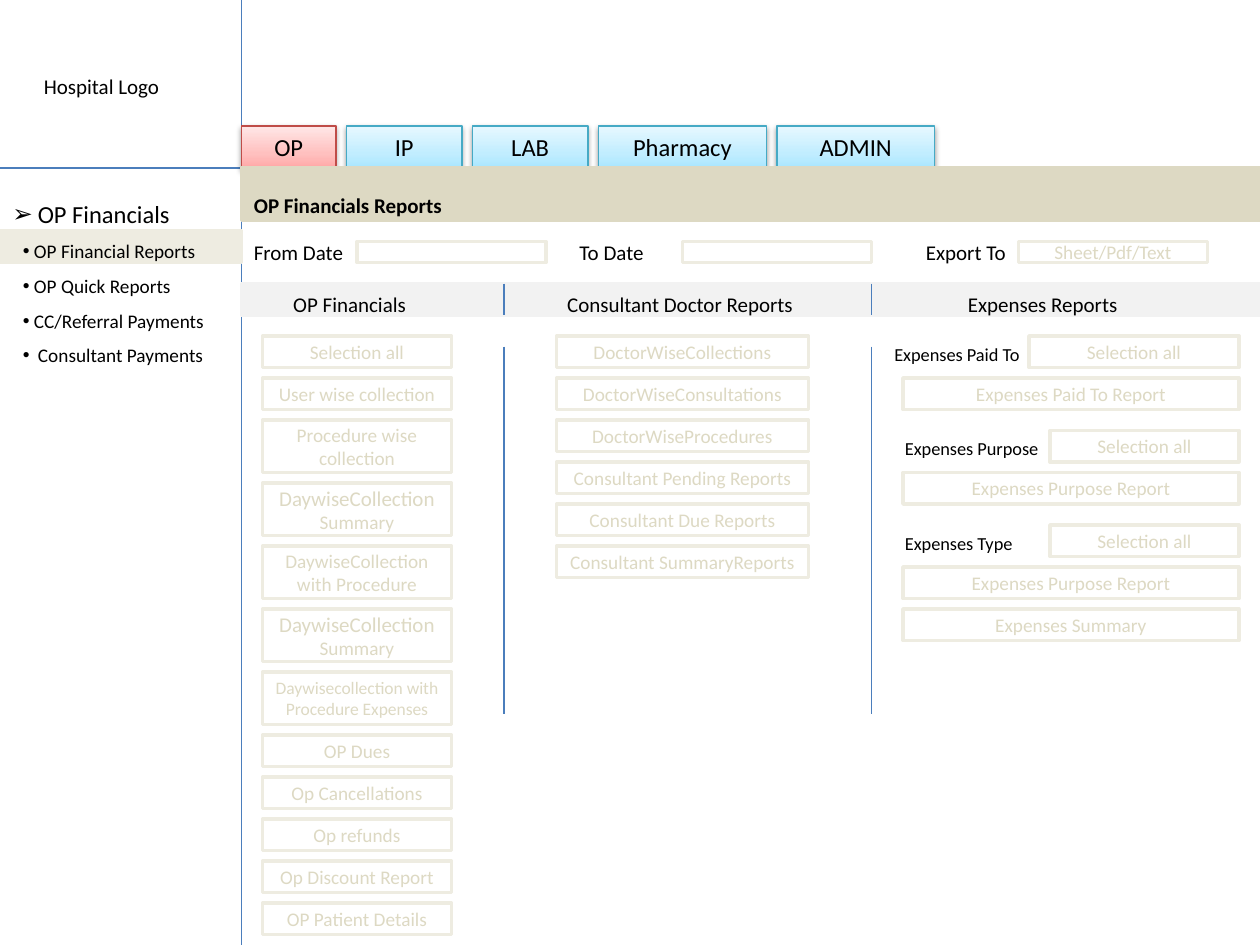
from dataclasses import dataclass
from typing import Any

from lxml.etree import SubElement
from pptx import Presentation
from pptx.dml.color import RGBColor
from pptx.enum.shapes import MSO_CONNECTOR as Connector, MSO_SHAPE as Preset
from pptx.enum.text import MSO_ANCHOR as Anchor, MSO_AUTO_SIZE as AutoSize, PP_ALIGN as Align
from pptx.oxml.ns import qn
from pptx.util import Pt


@dataclass(frozen=True)
class Theme:
    font: str = "Calibri"
    text: str = "000000"
    rule: str = "4B7EBC"
    white: str = "FFFFFF"
    header: str = "DDD9C3"
    soft: str = "EEECE1"
    subheader: str = "F2F2F2"
    active_line: str = "BF4C48"
    active_stops: tuple = ((0, "FFA6A5"), (35, "FFC0BF"), (100, "FFE7E7"))
    tab_line: str = "46AAC5"
    tab_stops: tuple = ((0, "A7E6FF"), (35, "C1EDFF"), (100, "E7F8FF"))
    thin: float = 0.75
    thick: float = 2
    tab_size: float = 14
    label_size: float = 12
    item_size: float = 11
    field_size: float = 10.5
    small_size: float = 10


THEME = Theme()


@dataclass(frozen=True)
class Box:
    left: float
    top: float
    width: float
    height: float

    def lengths(self) -> tuple:
        return tuple(Pt(value) for value in (self.left, self.top, self.width, self.height))


@dataclass(frozen=True)
class Label:
    text: str
    box: Box
    size: float = THEME.label_size
    bold: bool = False
    spacing: float = 1.5


@dataclass(frozen=True)
class Button:
    """Runs are (text, size) pairs."""
    runs: tuple
    height: float = 18


@dataclass(frozen=True)
class MenuItem:
    text: str
    indent: float
    bullet: str = "•"


def set_formats(target: Any, formats: dict) -> None:
    for name, value in formats.items():
        setattr(target, name, value)


def set_font(font: Any, size: float, color: str, bold: bool = False) -> None:
    set_formats(font, {"name": THEME.font, "size": Pt(size), "bold": bold})
    font.color.rgb = RGBColor.from_string(color)


def add_rule(slide: Any, x1: float, y1: float, x2: float, y2: float) -> None:
    rule = slide.shapes.add_connector(Connector.STRAIGHT, Pt(x1), Pt(y1), Pt(x2), Pt(y2))
    rule.line.width = Pt(THEME.thin)
    rule.line.color.rgb = RGBColor.from_string(THEME.rule)
    SubElement(rule._element.spPr, qn("a:effectLst"))


def add_rectangle(slide: Any, box: Box, fill: str, line: str, weight: float = THEME.thick) -> Any:
    shape = slide.shapes.add_shape(Preset.RECTANGLE, *box.lengths())
    shape.shadow.inherit = False
    shape.fill.solid()
    shape.fill.fore_color.rgb = RGBColor.from_string(fill)
    shape.line.color.rgb = RGBColor.from_string(line)
    shape.line.width = Pt(weight)
    return shape


def write_centred(shape: Any, runs: tuple, color: str, anchor: Any = Anchor.MIDDLE) -> None:
    set_formats(shape.text_frame, {"word_wrap": True, "vertical_anchor": anchor})
    paragraph = shape.text_frame.paragraphs[0]
    paragraph.alignment = Align.CENTER
    for text, size in runs:
        run = paragraph.add_run()
        run.text = text
        set_font(run.font, size, color)


def add_button(slide: Any, box: Box, runs: tuple = ()) -> None:
    shape = add_rectangle(slide, box, THEME.white, THEME.soft)
    write_centred(shape, runs, THEME.header)


def add_button_column(slide: Any, left: float, width: float, buttons: list) -> None:
    top = 192
    for button in buttons:
        add_button(slide, Box(left, top, width, button.height), button.runs)
        top += button.height + 6


def add_tab(slide: Any, box: Box, text: str, line: str, stops: tuple) -> None:
    """Tab with a three-stop gradient and a soft shadow below."""
    shape = add_rectangle(slide, box, THEME.white, line, THEME.thin)
    shape.fill.gradient()
    shape.fill.gradient_angle = 90
    properties = shape._element.spPr
    stop_list = properties.find(".//" + qn("a:gsLst"))
    for old_stop in list(stop_list):
        stop_list.remove(old_stop)
    for position, color in stops:
        stop = SubElement(stop_list, qn("a:gs"), pos=str(position * 1000))
        SubElement(stop, qn("a:srgbClr"), val=color)
    shadow = SubElement(properties.find(qn("a:effectLst")), qn("a:outerShdw"), blurRad=str(Pt(3.1)),
                        dist=str(Pt(1.6)), dir="5400000", rotWithShape="0")
    shadow_color = SubElement(shadow, qn("a:srgbClr"), val=THEME.text)
    SubElement(shadow_color, qn("a:alpha"), val="38000")
    write_centred(shape, ((text, THEME.tab_size),), THEME.text, Anchor.TOP)


def add_text_frame(slide: Any, box: Box) -> Any:
    frame = slide.shapes.add_textbox(*box.lengths()).text_frame
    set_formats(frame, {"word_wrap": False, "auto_size": AutoSize.SHAPE_TO_FIT_TEXT})
    return frame


def add_label(slide: Any, label: Label) -> None:
    paragraph = add_text_frame(slide, label.box).paragraphs[0]
    set_formats(paragraph, {"text": label.text, "line_spacing": label.spacing})
    set_font(paragraph.runs[0].font, label.size, THEME.text, label.bold)


def add_menu(slide: Any, box: Box, items: list, size: float) -> None:
    frame = add_text_frame(slide, box)
    for index, item in enumerate(items):
        paragraph = frame.add_paragraph() if index else frame.paragraphs[0]
        set_formats(paragraph, {"text": item.text, "line_spacing": 1.5})
        properties = paragraph._p.get_or_add_pPr()
        properties.set("marL", str(Pt(item.indent)))
        properties.set("indent", str(-Pt(item.indent)))
        SubElement(properties, qn("a:buFont"), typeface="Arial")
        SubElement(properties, qn("a:buChar"), char=item.bullet)
        set_font(paragraph.runs[0].font, size, THEME.text)


def item_buttons(*texts: str, height: float = 18) -> list:
    return [Button(((text, THEME.item_size),), height) for text in texts]


DAYWISE_SUMMARY = Button((("DaywiseCollection", THEME.label_size), (" Summary", THEME.item_size)), 30)
FINANCIALS = [
    *item_buttons("Selection all", "User wise collection"),
    *item_buttons("Procedure wise collection", height=30),
    DAYWISE_SUMMARY,
    *item_buttons("DaywiseCollection with Procedure", height=30),
    DAYWISE_SUMMARY,
    Button((("Daywisecollection with Procedure Expenses", THEME.small_size),), 30),
    *item_buttons("OP Dues", "Op Cancellations", "Op refunds", "Op Discount Report", "OP Patient Details"),
]
CONSULTANTS = item_buttons("DoctorWiseCollections", "DoctorWiseConsultations", "DoctorWiseProcedures",
                           "Consultant Pending Reports", "Consultant Due Reports", "Consultant SummaryReports")
EXPENSES = [
    ("Selection all", 588, 192, 120), ("Expenses Paid To Report", 516, 216, 192),
    ("Selection all", 600, 246, 108), ("Expenses Purpose Report", 516, 270, 192),
    ("Selection all", 600, 300, 108), ("Expenses Purpose Report", 516, 324, 192),
    ("Expenses Summary", 516, 348, 192),
]
LABELS = [
    Label("Hospital Logo", Box(18, 38.2, 81.4, 21.8), spacing=1),
    Label("OP Financials Reports", Box(138, 99.4, 123, 26.6), bold=True),
    Label("From Date", Box(138, 126, 67, 26.6)),
    Label("To Date", Box(324, 126, 51.8, 28.8)),
    Label("Export To", Box(522, 126, 60.5, 26.6)),
    Label("OP Financials", Box(160.5, 156, 80, 28.8)),
    Label("Consultant Doctor Reports", Box(317, 156, 144.7, 28.8)),
    Label("Expenses Reports", Box(546, 156, 100.8, 26.6)),
    Label("Expenses Paid To", Box(504, 186, 88.6, 26.6), THEME.field_size),
    Label("Expenses Purpose", Box(510, 240, 92.2, 24.5), THEME.field_size),
    Label("Expenses Type", Box(510, 294, 77.8, 24.5), THEME.field_size),
]
MENU = [MenuItem("OP Financial Reports", 6.3), MenuItem("OP Quick Reports", 6.3),
        MenuItem("CC/Referral Payments", 6.3), MenuItem("Consultant Payments", 8.6)]


def main() -> None:
    presentation = Presentation()
    set_formats(presentation, {"slide_width": Pt(720), "slide_height": Pt(540)})
    slide = presentation.slides.add_slide(presentation.slide_layouts[6])
    add_rule(slide, 0, 96, 720, 96)
    add_rule(slide, 138, 0, 138, 540)

    left = 138
    for text, width in (("OP", 54), ("IP", 66), ("LAB", 66), ("Pharmacy", 96), ("ADMIN", 90)):
        active = text == "OP"
        add_tab(slide, Box(left, 72, width, 24.5), text, THEME.active_line if active else THEME.tab_line,
                THEME.active_stops if active else THEME.tab_stops)
        left += width + 6

    for box, color in ((Box(0, 132, 138, 18), THEME.soft), (Box(138, 96, 582, 30), THEME.header),
                       (Box(138, 162, 582, 18), THEME.subheader)):
        add_rectangle(slide, box, color, color)
    for x in (288, 498):
        add_rule(slide, x, 162, x, 180)
        add_rule(slide, x, 198, x, 408)

    add_menu(slide, Box(0, 102, 105, 30), [MenuItem("OP Financials", 14.5, "➢")], THEME.tab_size)
    add_menu(slide, Box(6, 126.7, 120, 87), MENU, THEME.item_size)
    for left, text in ((204, ""), (390, ""), (582, "Sheet/Pdf/Text")):
        add_button(slide, Box(left, 138, 108, 12), ((text, THEME.item_size),) if text else ())
    add_button_column(slide, 150, 108, FINANCIALS)
    add_button_column(slide, 318, 144, CONSULTANTS)
    for text, left, top, width in EXPENSES:
        add_button(slide, Box(left, top, width, 18), ((text, THEME.item_size),))
    for label in LABELS:
        add_label(slide, label)
    presentation.save("out.pptx")


if __name__ == "__main__":
    main()
